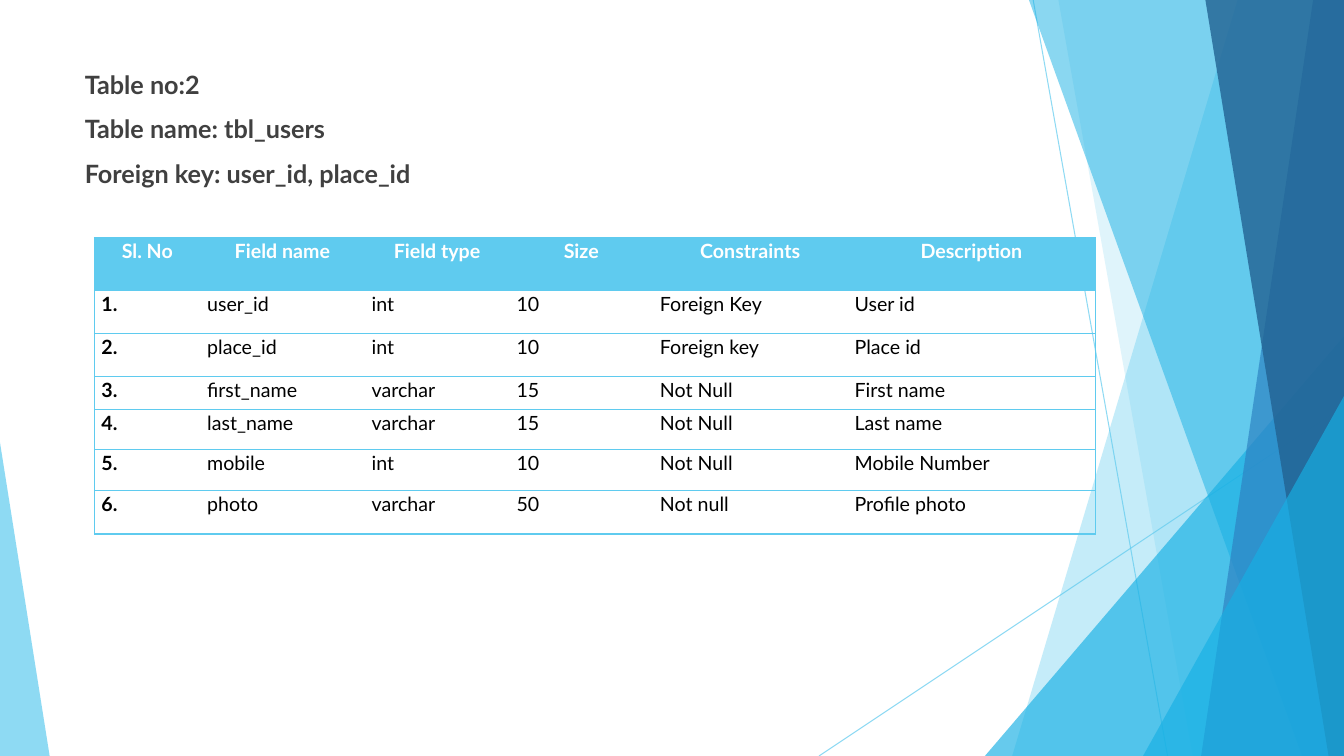
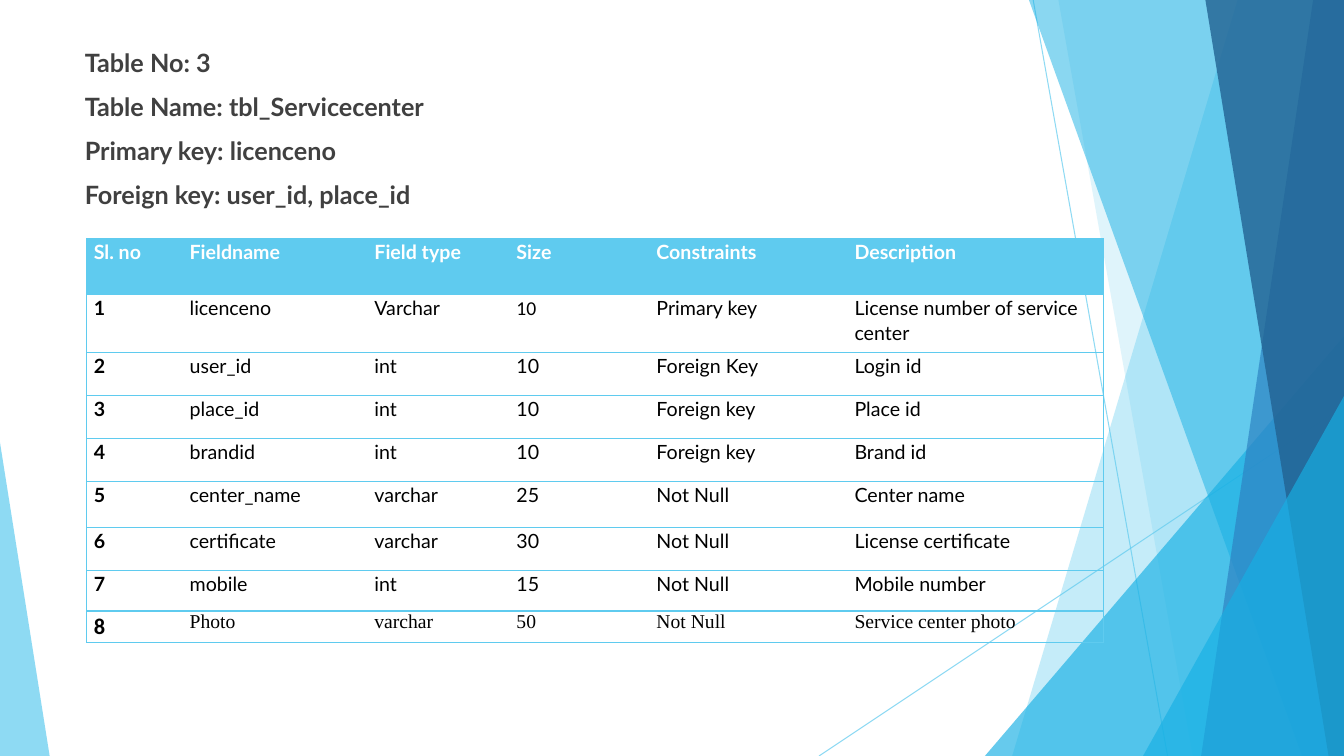
import dataclasses

import lxml.etree
import pptx
import pptx.dml.color
import pptx.enum.shapes
import pptx.enum.text
import pptx.oxml
import pptx.oxml.ns
import pptx.util

Pt = pptx.util.Pt
ALIGN = pptx.enum.text.PP_ALIGN
SHAPES = pptx.enum.shapes.MSO_SHAPE
NO_STYLE = "{2D5ABB26-0587-4C30-8999-92F81FD0307C}"


@dataclasses.dataclass(frozen=True)
class Theme:
    width: float = 960
    height: float = 540
    sky: str = "5FCBEF"
    cyan: str = "17B0E4"
    blue: str = "2E83C3"
    navy: str = "226292"
    ink: str = "404040"
    black: str = "000000"
    white: str = "FFFFFF"
    font: str = "Lato"
    heading_size: float = 18
    cell_size: float = 14
    number_size: float = 16
    rule: float = 1
    hairline: float = 0.75


def rgb(color):
    return pptx.dml.color.RGBColor.from_string(color)


def apply(target, formats):
    for name, value in formats.items():
        setattr(target, name, value)


def set_alpha(shape, percent):
    tag = pptx.oxml.ns.qn("a:alpha")
    for color in shape._element.spPr.iter(pptx.oxml.ns.qn("a:srgbClr")):
        lxml.etree.SubElement(color, tag, val=str(percent * 1000))


class Painter:
    def __init__(self, theme):
        self.theme = theme
        self.deck = pptx.Presentation()
        apply(self.deck, {"slide_width": Pt(theme.width), "slide_height": Pt(theme.height)})
        self.page = None

    def new_page(self):
        self.page = self.deck.slides.add_slide(self.deck.slide_layouts[6])
        self.backdrop()

    def backdrop(self):
        theme = self.theme
        self.ray(738, 0, 834, theme.height)
        self.ray(theme.width, 290, 585, theme.height)
        self.band(884, 723, theme.sky, 36)
        self.band(756, 852, theme.sky, 20)
        self.corner(703.5, 240, 256.5, 1, theme.cyan, 66)
        self.band(735, 929.5, theme.cyan, 50)
        self.band(938, 858.5, theme.blue, 70)
        self.band(861, 949, theme.navy, 80)
        self.corner(816.5, 283, 143.5, 1, theme.cyan, 66)
        self.corner(0, 316, 35.5, 0, theme.sky, 70)

    def ray(self, start_x, start_y, end_x, end_y):
        ends = [Pt(value) for value in (start_x, start_y, end_x, end_y)]
        line = self.page.shapes.add_connector(pptx.enum.shapes.MSO_CONNECTOR.STRAIGHT, *ends)
        line.line.width = Pt(self.theme.hairline)
        line.line.color.rgb = rgb(self.theme.sky)
        lxml.etree.SubElement(line._element.spPr, pptx.oxml.ns.qn("a:effectLst"))
        set_alpha(line, 70)

    def band(self, top_x, bottom_x, color, alpha):
        right, bottom = self.theme.width, self.theme.height
        outline = self.page.shapes.build_freeform(top_x, 0, scale=Pt(1))
        outline.add_line_segments([(right, 0), (right, bottom), (bottom_x, bottom)])
        self.tint(outline.convert_to_shape(), color, alpha)

    def corner(self, left, top, width, apex, color, alpha):
        place = [Pt(value) for value in (left, top, width, self.theme.height - top)]
        shape = self.page.shapes.add_shape(SHAPES.ISOSCELES_TRIANGLE, *place)
        shape.adjustments[0] = apex
        self.tint(shape, color, alpha)

    def tint(self, shape, color, alpha):
        shape.shadow.inherit = False
        shape.fill.solid()
        shape.fill.fore_color.rgb = rgb(color)
        shape.line.fill.background()
        set_alpha(shape, alpha)

    def add_text(self, para, text, color, formats):
        span = para.add_run()
        span.text = text
        apply(span.font, {"name": self.theme.font, **formats})
        span.font.color.rgb = rgb(color)

    def heading(self, top, lines):
        box = self.page.shapes.add_textbox(Pt(53.5), Pt(top), Pt(677), Pt(32 * len(lines)))
        frame = box.text_frame
        frame.word_wrap = True
        for index, text in enumerate(lines):
            para = frame.add_paragraph() if index else frame.paragraphs[0]
            if index:
                para.space_before = Pt(10)
            formats = {"size": Pt(self.theme.heading_size), "bold": True}
            self.add_text(para, text, self.theme.ink, formats)

    def border(self, cell, sides):
        properties = cell._tc.get_or_add_tcPr()
        for side in sides:
            properties.append(pptx.oxml.parse_xml(
                f'<a:ln{side} {pptx.oxml.ns.nsdecls("a")} w="{Pt(self.theme.rule)}">'
                f'<a:solidFill><a:srgbClr val="{self.theme.sky}"/></a:solidFill></a:ln{side}>'))

    def table(self, left, top, widths, heights, rows, head_align, body_align, special):
        theme = self.theme
        frame = self.page.shapes.add_table(
            len(rows), len(widths), Pt(left), Pt(top), Pt(sum(widths)), Pt(sum(heights)))
        table = frame.table
        apply(table, {"first_row": False, "horz_banding": False})
        table._tbl.tblPr.find(pptx.oxml.ns.qn("a:tableStyleId")).text = NO_STYLE
        for column, width in zip(table.columns, widths):
            column.width = Pt(width)
        for row, height in zip(table.rows, heights):
            row.height = Pt(height)
        for r, values in enumerate(rows):
            for c, text in enumerate(values):
                cell = table.cell(r, c)
                apply(cell, {"margin_left": Pt(5), "margin_right": Pt(5),
                             "margin_top": Pt(0), "margin_bottom": Pt(0)})
                self.border(cell, "L" * (c == 0) + "R" * (c == len(widths) - 1) + "TB")
                if r == 0:
                    cell.fill.solid()
                    cell.fill.fore_color.rgb = rgb(theme.sky)
                else:
                    cell.fill.background()
                para = cell.text_frame.paragraphs[0]
                apply(para, {"alignment": body_align if r else head_align, "line_spacing": 1.07})
                formats = {"size": Pt(theme.cell_size), "bold": r == 0 or c == 0}
                formats.update(special.get((r, c), {}))
                if formats.get("name") == "Times New Roman":
                    para.line_spacing = 1.0
                self.add_text(para, text, theme.black if r else theme.white, formats)


def users_page(painter):
    painter.new_page()
    painter.heading(46, ["Table no:2", "Table name: tbl_users", "Foreign key: user_id, place_id"])
    rows = [
        ("Sl. No", "Field name", "Field type", "Size", "Constraints", "Description"),
        ("1.", "user_id", "int", "10", "Foreign Key", "User id"),
        ("2.", "place_id", "int", "10", "Foreign key", "Place id"),
        ("3.", "first_name", "varchar", "15", "Not Null", "First name"),
        ("4.", "last_name", "varchar", "15", "Not Null", "Last name"),
        ("5.", "mobile", "int", "10", "Not Null", "Mobile Number"),
        ("6.", "photo", "varchar", "50", "Not null", "Profile photo"),
    ]
    painter.table(67.5, 170, [75.5, 117.5, 103.5, 102.5, 139, 177],
                  [37.5, 30.5, 31, 23.5, 28.5, 29.5, 31], rows,
                  ALIGN.CENTER, ALIGN.JUSTIFY, {})


def service_center_page(painter):
    painter.new_page()
    painter.heading(30, ["Table No: 3", "Table Name: tbl_Servicecenter",
                         "Primary key: licenceno", "Foreign key: user_id, place_id"])
    rows = [
        ("Sl. no", "Fieldname", "Field type", "Size", "Constraints", "Description"),
        ("1", "licenceno", "Varchar", "10", "Primary key", "License number of service center"),
        ("2", "user_id", "int", "10", "Foreign Key", "Login id"),
        ("3", "place_id", "int", "10", "Foreign key", "Place id"),
        ("4", "brandid", "int", "10", "Foreign key", "Brand id"),
        ("5", "center_name", "varchar", "25", "Not Null", "Center name"),
        ("6", "certificate", "varchar", "30", "Not Null", "License certificate"),
        ("7", "mobile", "int", "15", "Not Null", "Mobile number"),
        ("8", "Photo", "varchar", "50", "Not Null", "Service center photo"),
    ]
    special = {(8, column): {"name": "Times New Roman"} for column in range(1, 6)}
    special[1, 3] = {"name": "Calibri"}
    special[8, 0] = {"name": "Calibri", "size": Pt(painter.theme.number_size)}
    painter.table(62, 170.5, [68.5, 132, 101.5, 100, 141.5, 183],
                  [40, 41.5, 30.5, 30.5, 31, 33, 30.5, 29, 22.5], rows,
                  ALIGN.LEFT, ALIGN.LEFT, special)


def main():
    painter = Painter(Theme())
    users_page(painter)
    service_center_page(painter)
    painter.deck.save("out.pptx")


if __name__ == "__main__":
    main()
